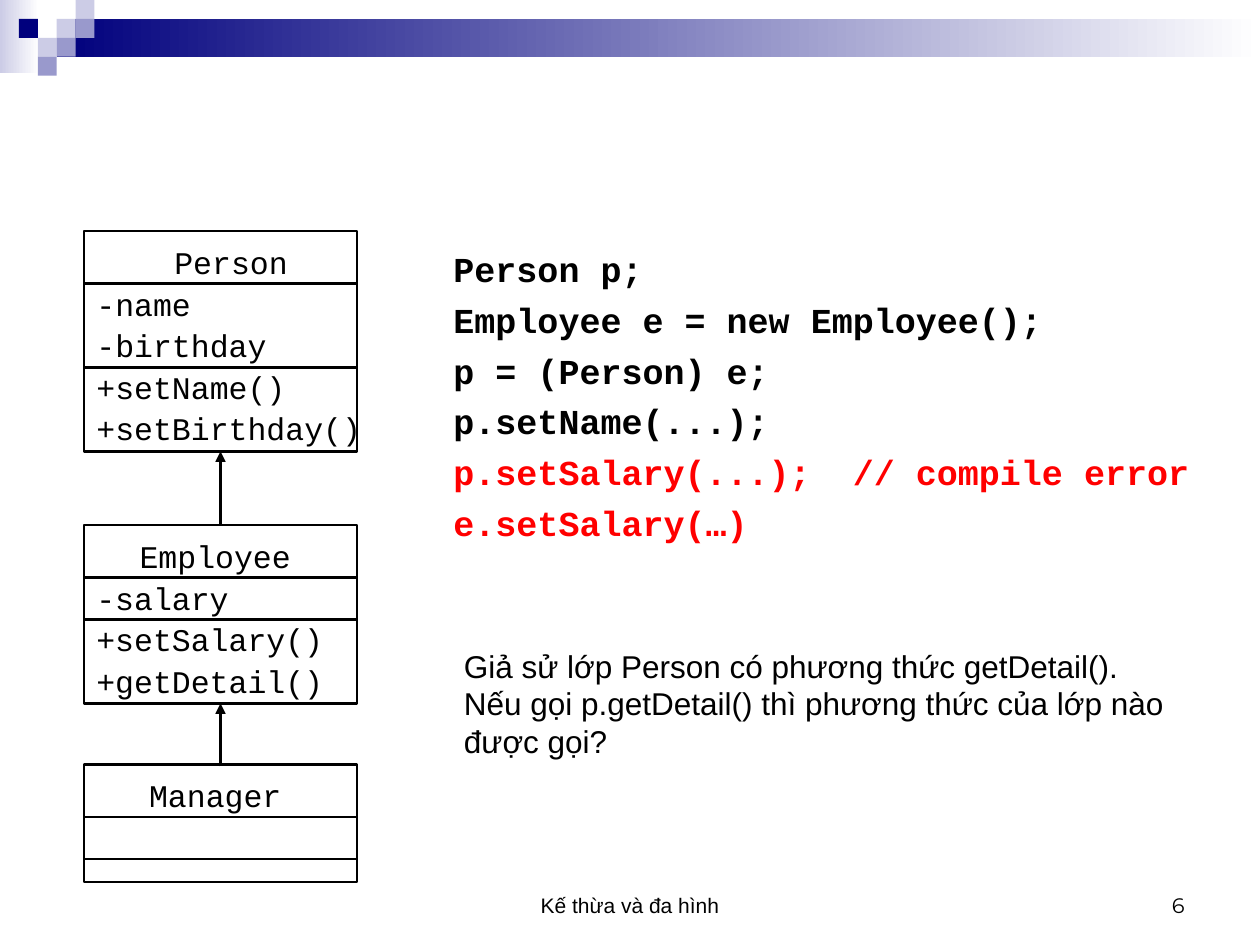
from lxml.etree import SubElement
from pptx import Presentation
from pptx.dml.color import RGBColor
from pptx.enum.shapes import MSO_CONNECTOR, MSO_SHAPE
from pptx.enum.text import MSO_ANCHOR, PP_ALIGN
from pptx.oxml.ns import qn
from pptx.util import Inches, Pt

CELL = 1 / 12
TILE = 0.15
LEFT, RIGHT = 8, 34
BLACK, RED, NAVY, LILAC, MIST = "000000", "FF0000", "00007D", "9999CC", "CCCCE6"
MONO = "Courier New"


def grid(*cells):
    """Turn grid cells of a twelfth of an inch into lengths."""
    return [Inches(cell * CELL) for cell in cells]


def paint(color, value):
    """Set a colour from a hex string."""
    color.rgb = RGBColor.from_string(value)


def add_box(slide, at, fill=None, fade=None, edge=None):
    """Add a rectangle with a plain, fading or empty fill."""
    box = slide.shapes.add_shape(MSO_SHAPE.RECTANGLE, *at)
    box.shadow.inherit = False
    if fade:
        box.fill.gradient()
        box.fill.gradient_angle = 0
        for stop, value in zip(box.fill.gradient_stops, fade):
            paint(stop.color, value)
    elif fill:
        box.fill.solid()
        paint(box.fill.fore_color, fill)
    else:
        box.fill.background()
    if edge:
        paint(box.line.color, edge)
        box.line.width = Pt(1.5)
    else:
        box.line.fill.background()


def add_line(slide, x1, y1, x2, y2, arrow=False):
    """Add a black line, with an arrowhead at its end if asked."""
    line = slide.shapes.add_connector(MSO_CONNECTOR.STRAIGHT, *grid(x1, y1, x2, y2))
    paint(line.line.color, BLACK)
    line.line.width = Pt(1.5)
    if arrow:
        SubElement(line.line._get_or_add_ln(), qn("a:tailEnd"), type="triangle")
    SubElement(line._element.spPr, qn("a:effectLst"))


def add_text(slide, at, lines, size, font=MONO, bold=False, align=PP_ALIGN.LEFT,
             head=None, anchor=MSO_ANCHOR.TOP, space=1.0, before=0):
    """Add a text box of (text, colour) lines; head aligns the first one."""
    frame = slide.shapes.add_textbox(*grid(*at)).text_frame
    frame.word_wrap = True
    frame.vertical_anchor = anchor
    for row, (text, color) in enumerate(lines):
        para = frame.add_paragraph() if row else frame.paragraphs[0]
        para.alignment = align if row or head is None else head
        para.line_spacing = space
        para.space_before = Pt(before)
        run = para.add_run()
        run.text = text
        run.font.name = font
        run.font.size = Pt(size)
        run.font.bold = bold
        paint(run.font.color, color)


def add_class(slide, top, rules, foot, wide, words):
    """Add a class box with its dividing lines and members."""
    add_box(slide, grid(LEFT, top, RIGHT - LEFT, foot - top), edge=BLACK)
    for rule in rules:
        add_line(slide, LEFT, rule, RIGHT, rule)
    add_text(slide, (LEFT, top + 0.2, wide, foot - top),
             [(word, BLACK) for word in words], 18, head=PP_ALIGN.CENTER, space=1.1)


def add_band(slide):
    """Add the fading band and the tiles at the top."""
    add_box(slide, [0, 0, Inches(0.31), Inches(0.58)], fade=(MIST, "FFFFFF"))
    add_box(slide, [Inches(n) for n in (0.45, 0.15, 9.55, 0.3)], fade=(NAVY, "FFFFFF"))
    tiles = [(3, 1, MIST), (4, 0, MIST), (4, 1, LILAC), (2, 2, MIST),
             (1, 1, NAVY), (3, 2, LILAC), (2, 3, LILAC)]
    for col, row, fill in tiles:
        add_box(slide, [Inches(n * TILE) for n in (col, row, 1, 1)], fill=fill)


def main():
    """Build the slide and save it."""
    deck = Presentation()
    deck.slide_width, deck.slide_height = grid(120, 90)
    slide = deck.slides.add_slide(deck.slide_layouts[6])
    add_band(slide)
    add_text(slide, (41, 82, 38, 6), [("Kế thừa và đa hình", BLACK)], 12, "Arial",
             align=PP_ALIGN.CENTER, anchor=MSO_ANCHOR.BOTTOM)
    add_text(slide, (86, 82, 28, 6), [("6", BLACK)], 12, "Montserrat",
             align=PP_ALIGN.RIGHT, anchor=MSO_ANCHOR.BOTTOM)
    code = [("Person p;", BLACK), ("Employee e = new Employee();", BLACK),
            ("p = (Person) e;", BLACK), ("p.setName(...);", BLACK),
            ("p.setSalary(...);  // compile error", RED), ("e.setSalary(…)", RED)]
    add_text(slide, (42, 23, 75, 49), code, 20, bold=True, before=5)
    add_class(slide, 22, (27, 35), 43, 28,
              ["Person", "-name", "-birthday", "+setName()", "+setBirthday()"])
    add_class(slide, 50, (55, 59), 67, 25,
              ["Employee", "-salary", "+setSalary()", "+getDetail()"])
    add_class(slide, 72.8, (77.8, 81.8), 84, 25, ["Manager"])
    mid = (LEFT + RIGHT) / 2
    for start, end in ((50, 43), (73, 67)):
        add_line(slide, mid, start, mid, end, arrow=True)
    ask = ("Giả sử lớp Person có phương thức getDetail(). "
           "Nếu gọi p.getDetail() thì phương thức của lớp nào được gọi?")
    add_text(slide, (43, 61, 70, 12), [(ask, BLACK)], 18, "Arial")
    deck.save("out.pptx")


main()
